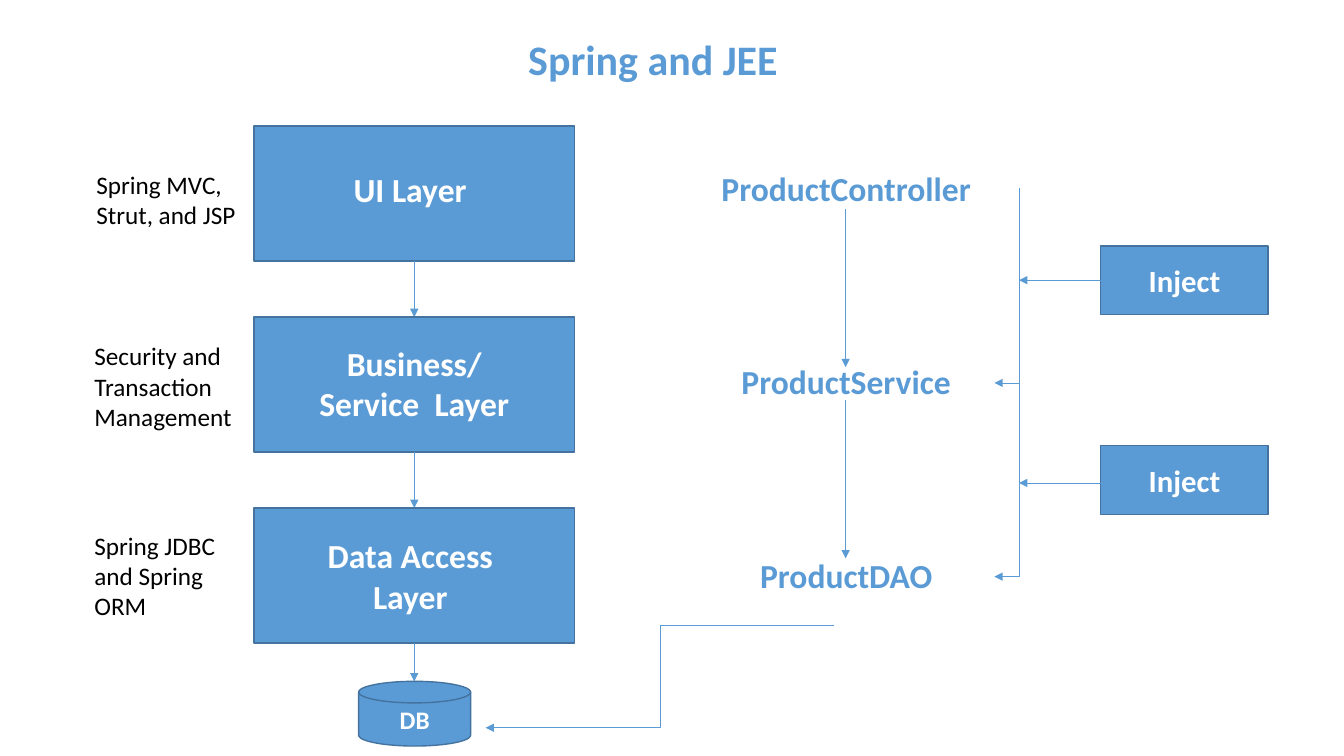
from lxml.etree import SubElement
from pptx import Presentation
from pptx.dml.color import RGBColor
from pptx.enum.shapes import MSO_CONNECTOR, MSO_SHAPE
from pptx.enum.text import MSO_ANCHOR, PP_ALIGN
from pptx.oxml.ns import qn
from pptx.util import Cm, Pt

BLUE, EDGE, WHITE, BLACK = "5B9BD5", "43739E", "FFFFFF", "000000"


def paint(color, code):
    """Set a colour format to a hex code."""
    color.rgb = RGBColor.from_string(code)


def write(frame, words, size, code, bold=True, align=PP_ALIGN.CENTER):
    """Put one styled run in a text frame."""
    frame.word_wrap = True
    para = frame.paragraphs[0]
    para.alignment = align
    run = para.add_run()
    run.text = words
    run.font.name = "Calibri"
    run.font.size = Pt(size)
    run.font.bold = bold
    paint(run.font.color, code)
    return para


def label(slide, spot, words, size, code, **style):
    """Add a text box and return its paragraph."""
    box = slide.shapes.add_textbox(*map(Cm, spot))
    return write(box.text_frame, words, size, code, **style)


def block(slide, spot, words="", size=18, kind=MSO_SHAPE.RECTANGLE):
    """Add a filled shape, with centred text if given."""
    shape = slide.shapes.add_shape(kind, *map(Cm, spot))
    shape.shadow.inherit = False
    shape.fill.solid()
    paint(shape.fill.fore_color, BLUE)
    paint(shape.line.color, EDGE)
    shape.line.width = Pt(1)
    if words:
        shape.text_frame.vertical_anchor = MSO_ANCHOR.MIDDLE
        write(shape.text_frame, words, size, WHITE)


def arrow(slide, start, end, kind=MSO_CONNECTOR.STRAIGHT):
    """Add a thin connector with a head at its end."""
    link = slide.shapes.add_connector(kind, *map(Cm, start + end))
    paint(link.line.color, BLUE)
    link.line.width = Pt(0.5)
    SubElement(link.line._get_or_add_ln(), qn("a:tailEnd"), type="triangle")
    SubElement(link._element.spPr, qn("a:effectLst"))
    return link


def hook(slide, x, y, drop, reach):
    """Add an arrow that runs down, then turns left."""
    mid_x, mid_y = x - reach / 2, y + drop / 2
    start = (mid_x - drop / 2, mid_y - reach / 2)
    end = (mid_x + drop / 2, mid_y + reach / 2)
    props = arrow(slide, start, end, MSO_CONNECTOR.ELBOW)._element.spPr
    props.find(qn("a:prstGeom")).set("prst", "bentConnector2")
    props.find(qn("a:xfrm")).set("rot", str(90 * 60000))


def layers(slide):
    """Draw the layer stack, its notes and the database."""
    left, top, wide, high, step = 6.4, 3.18, 8.08, 3.4, 4.81
    mid, disk = left + wide / 2, 17.17
    rows = [
        ("UI Layer", (8.15, 4.14, 4.37, 1.27),
         "Spring MVC, Strut, and JSP", (2.18, 4.14, 4.29, 1.8)),
        ("Business/ Service  Layer", (7.47, 8.51, 5.94, 2.31),
         "Security and Transaction Management", (2.13, 8.46, 4.29, 2.57)),
        ("Data Access Layer", (7.37, 13.36, 5.94, 2.31),
         "Spring JDBC and Spring ORM", (2.13, 13.23, 4.29, 2.57)),
    ]
    for i, (name, spot, note, side) in enumerate(rows):
        y = top + i * step
        block(slide, (left, y, wide, high))
        label(slide, spot, name, 24, WHITE)
        label(slide, side, note, 18, BLACK, bold=False, align=PP_ALIGN.LEFT)
        goal = disk if i == len(rows) - 1 else y + step
        arrow(slide, (mid, y + high), (mid, goal))
    block(slide, (9.04, disk, 2.82, 1.63), "DB", 18,
          MSO_SHAPE.FLOWCHART_MAGNETIC_DISK)


def beans(slide):
    """Draw the product classes and what is injected."""
    names = ["ProductController", "ProductService", "ProductDAO"]
    for i, name in enumerate(names):
        label(slide, (17.58, 4.11 + i * 4.87, 7.49, 1.27), name, 24, BLUE)
    rail, left = 25.68, 27.74
    for i, y in enumerate((7.06, 12.17)):
        top = 5.26 + i * 4.82
        arrow(slide, (21.31, top), (21.31, top + 3.99))
        hook(slide, rail, 4.75 + i * 4.88, 4.9, 0.62)
        block(slide, (left, 6.2 + i * 5.03, 4.22, 1.73), "Inject", 22)
        arrow(slide, (left, y), (rail, y))
    arrow(slide, (21.03, 15.77), (12.24, 18.34), MSO_CONNECTOR.ELBOW)


def main():
    """Build and save the slide."""
    deck = Presentation()
    deck.slide_width, deck.slide_height = Cm(33.87), Cm(19.05)
    slide = deck.slides.add_slide(deck.slide_layouts[6])
    title = label(slide, (3.76, 0.86, 25.4, 1.98), "Spring and JEE", 30, BLUE)
    title.line_spacing = 0.9
    layers(slide)
    beans(slide)
    deck.save("out.pptx")


main()
